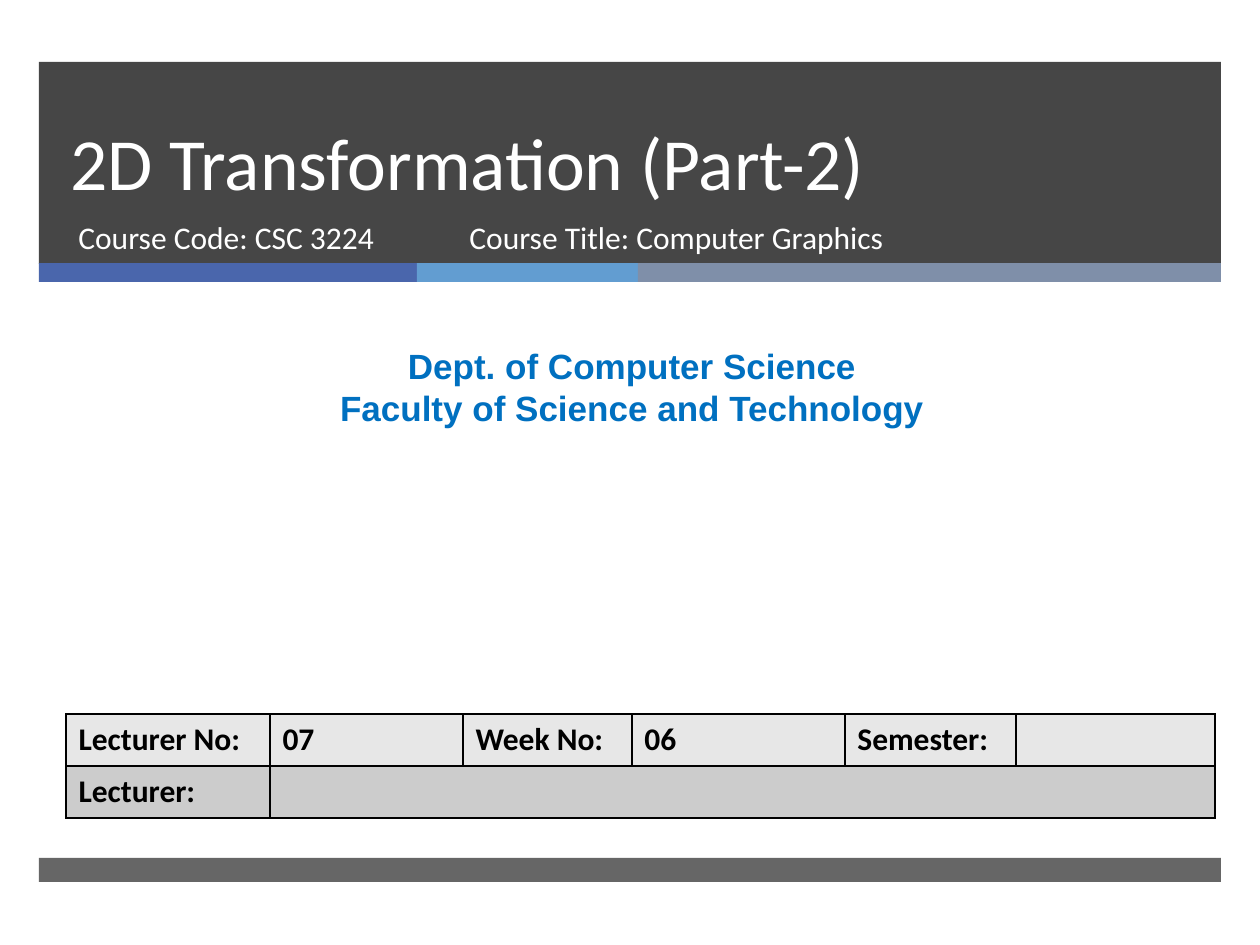
from dataclasses import dataclass

from lxml.etree import SubElement
from pptx import Presentation
from pptx.dml.color import RGBColor
from pptx.enum.shapes import MSO_SHAPE
from pptx.enum.text import MSO_ANCHOR, MSO_AUTO_SIZE, PP_ALIGN
from pptx.oxml.ns import qn
from pptx.util import Emu, Pt

EMU_PER_PX = 914400 / 126


@dataclass(frozen=True)
class Frame:
    """Hold a position and size in px."""
    left: int
    top: int
    width: int
    height: int


@dataclass(frozen=True)
class Band:
    """Describe a coloured band with its opacity in percent."""
    frame: Frame
    color: str
    opacity: int = 100


@dataclass(frozen=True)
class Style:
    """Describe how a run of text looks."""
    size: int
    color: str
    font: str = "Calibri"
    bold: bool = False


@dataclass(frozen=True)
class Label:
    """Describe a text box."""
    frame: Frame
    lines: tuple[str, ...]
    style: Style
    align: PP_ALIGN = PP_ALIGN.LEFT
    spacing: int | None = None


@dataclass(frozen=True)
class TableRow:
    """Describe a table row."""
    texts: tuple[str, ...]
    fill: str


TITLE_STYLE = Style(42, "FFFFFF")
COURSE_STYLE = Style(18, "FFFFFF")
DEPARTMENT_STYLE = Style(20, "0070C0", "Arial", True)
CELL_STYLE = Style(18, "000000", bold=True)

BANDS = (
    Band(Frame(39, 62, 1182, 202), "262626", 85),
    Band(Frame(39, 263, 378, 19), "4A66AC"),
    Band(Frame(417, 263, 221, 19), "629DD1"),
    Band(Frame(638, 263, 583, 19), "7F8FA9"),
    Band(Frame(39, 858, 1182, 24), "262626", 70),
)
TITLE = Label(Frame(58, 62, 1076, 150), ("2D Transformation (Part-2)",),
              TITLE_STYLE, spacing=46)
LABELS = (
    Label(Frame(66, 212, 384, 67), ("Course Code: CSC 3224",), COURSE_STYLE),
    Label(Frame(457, 212, 573, 67), ("Course Title: Computer Graphics",), COURSE_STYLE),
    Label(Frame(10, 338, 1244, 97),
          ("Dept. of Computer Science", "Faculty of Science and Technology"),
          DEPARTMENT_STYLE, PP_ALIGN.CENTER, 24),
)
TABLE_FRAME = Frame(66, 714, 1149, 104)
COLUMN_WIDTHS = (204, 193, 169, 213, 171, 199)
ROWS = (
    TableRow(("Lecturer No:", "07", "Week No:", "06", "Semester:", ""), "E7E7E7"),
    TableRow(("Lecturer:", "", "", "", "", ""), "CCCCCC"),
)


def px(value: int) -> Emu:
    """Turn px into EMU."""
    return Emu(round(value * EMU_PER_PX))


def place(frame: Frame) -> tuple[Emu, Emu, Emu, Emu]:
    """Return a frame in EMU."""
    return px(frame.left), px(frame.top), px(frame.width), px(frame.height)


def paint(color_holder, color: str) -> None:
    """Make a fill solid in a hex colour."""
    color_holder.solid()
    color_holder.fore_color.rgb = RGBColor.from_string(color)


def add_span(para, text: str, style: Style) -> None:
    """Add one styled run to a paragraph."""
    span = para.add_run()
    span.text = text
    span.font.size = Pt(style.size)
    span.font.name = style.font
    span.font.bold = style.bold
    paint(span.font.fill, style.color)


def draw_band(page, band: Band) -> None:
    """Draw a borderless band."""
    box = page.shapes.add_shape(MSO_SHAPE.RECTANGLE, *place(band.frame))
    box.shadow.inherit = False
    box.line.fill.background()
    paint(box.fill, band.color)
    if band.opacity < 100:
        color = box._element.spPr.find(qn("a:solidFill"))[0]
        SubElement(color, qn("a:alpha")).set("val", str(band.opacity * 1000))


def write_label(box, label: Label) -> None:
    """Write the lines of a label into a box."""
    frame = box.text_frame
    frame.word_wrap = True
    frame.auto_size = MSO_AUTO_SIZE.NONE
    for index, line in enumerate(label.lines):
        para = frame.add_paragraph() if index else frame.paragraphs[0]
        para.alignment = label.align
        if label.spacing:
            para.line_spacing = Pt(label.spacing)
        add_span(para, line, label.style)


def draw_title(page, label: Label) -> None:
    """Fill the title placeholder and bring it in front of the bands."""
    title = page.shapes.title
    title.left, title.top, title.width, title.height = place(label.frame)
    title.text_frame.vertical_anchor = MSO_ANCHOR.BOTTOM
    write_label(title, label)
    title._element.getparent().append(title._element)


def draw_label(page, label: Label) -> None:
    """Draw a text box."""
    write_label(page.shapes.add_textbox(*place(label.frame)), label)


def border_cell(cell) -> None:
    """Give a cell thin black borders, ahead of its fill."""
    properties = cell._tc.get_or_add_tcPr()
    for index, side in enumerate(("a:lnL", "a:lnR", "a:lnT", "a:lnB")):
        line = SubElement(properties, qn(side))
        line.set("w", str(Pt(1)))
        fill = SubElement(line, qn("a:solidFill"))
        SubElement(fill, qn("a:srgbClr")).set("val", "000000")
        properties.insert(index, line)


def draw_table(page) -> None:
    """Draw the lecture details table."""
    table = page.shapes.add_table(
        len(ROWS), len(COLUMN_WIDTHS), *place(TABLE_FRAME)).table
    for column, width in zip(table.columns, COLUMN_WIDTHS):
        column.width = px(width)
    for row_index, row in enumerate(ROWS):
        for column_index, text in enumerate(row.texts):
            cell = table.cell(row_index, column_index)
            paint(cell.fill, row.fill)
            border_cell(cell)
            if text:
                add_span(cell.text_frame.paragraphs[0], text, CELL_STYLE)
    table.cell(1, 1).merge(table.cell(1, len(COLUMN_WIDTHS) - 1))


def main() -> None:
    """Build and save the deck."""
    deck = Presentation()
    deck.slide_width, deck.slide_height = px(1260), px(945)
    page = deck.slides.add_slide(deck.slide_layouts[5])
    for band in BANDS:
        draw_band(page, band)
    draw_title(page, TITLE)
    for label in LABELS:
        draw_label(page, label)
    draw_table(page)
    deck.save("out.pptx")


if __name__ == "__main__":
    main()
